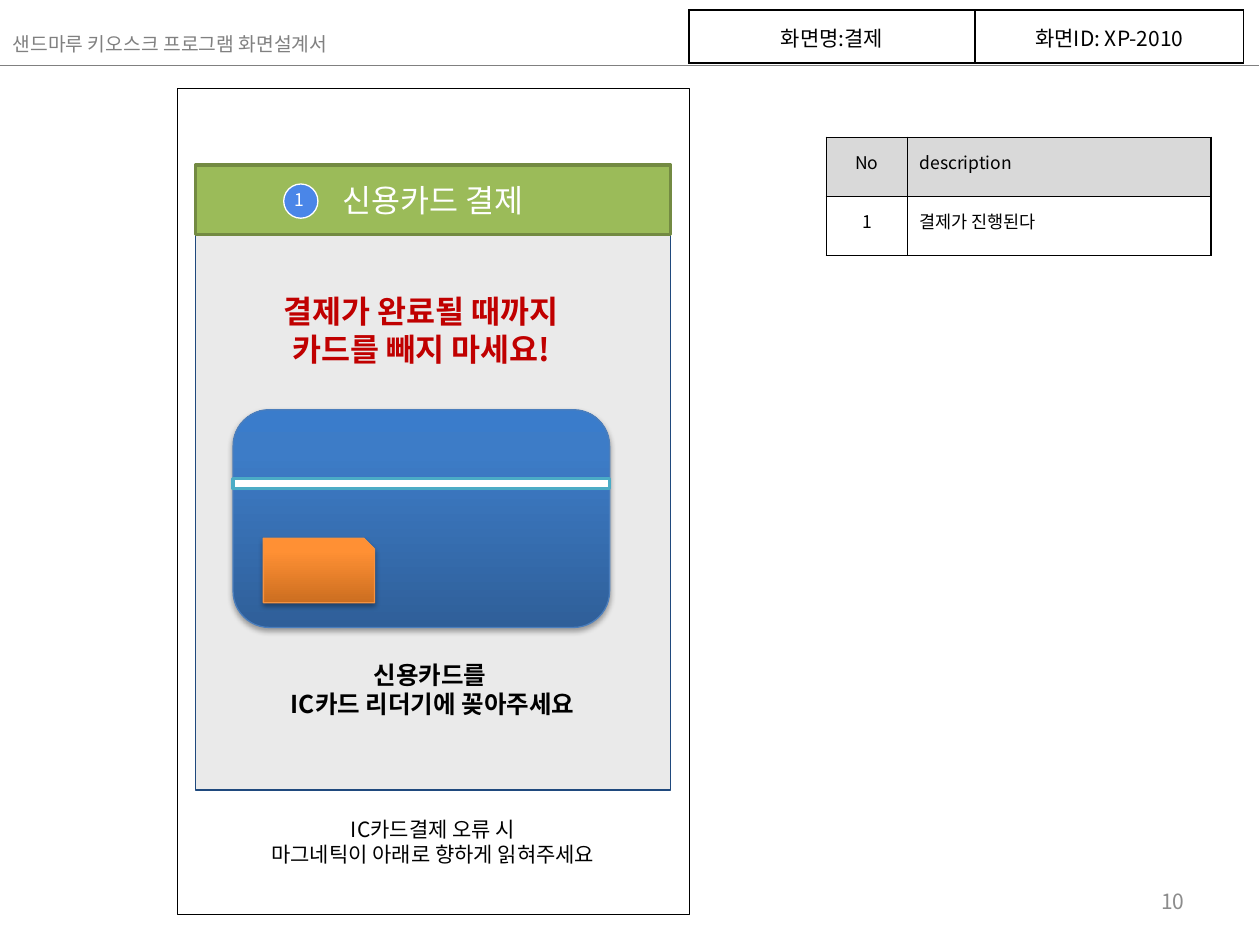
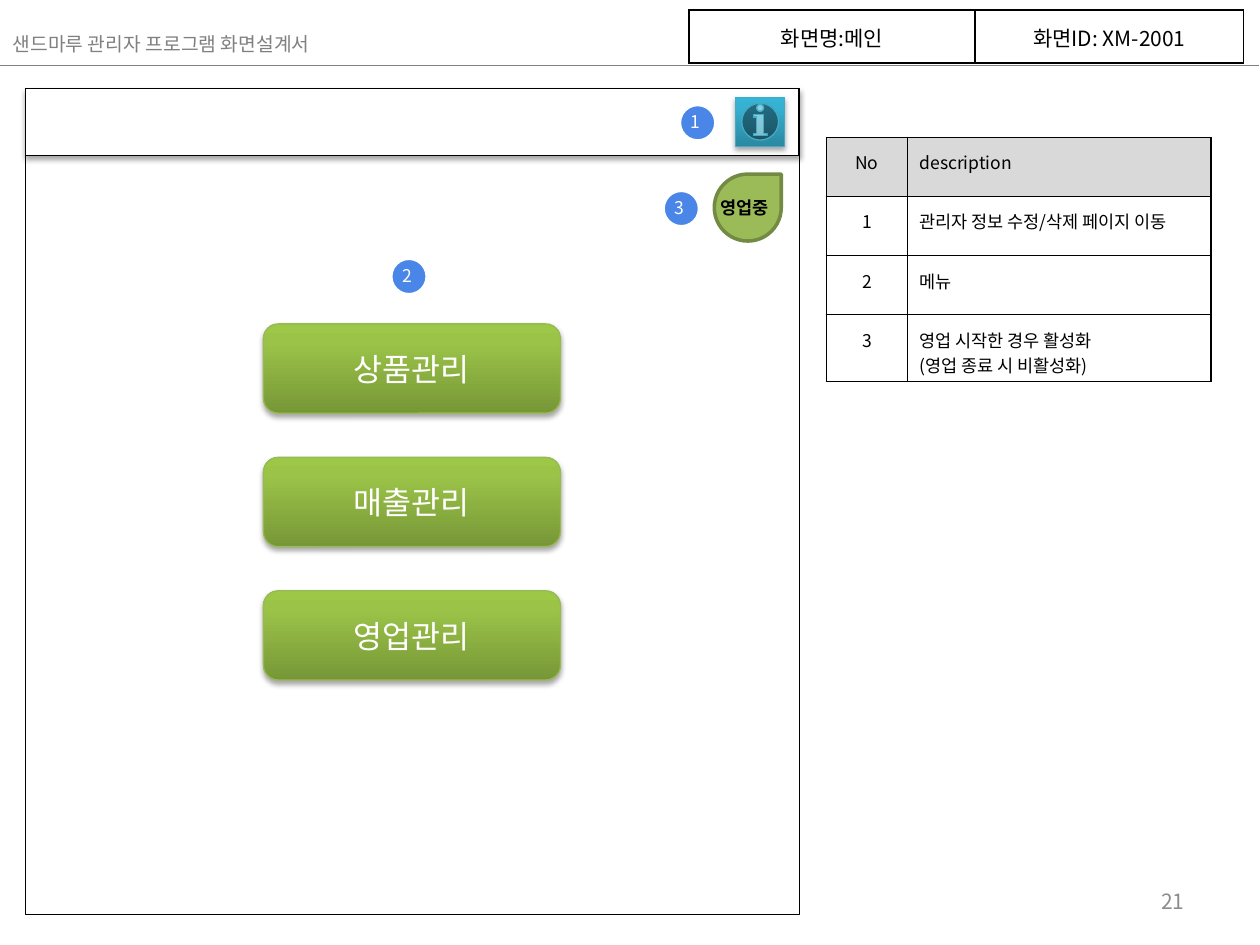
from copy import deepcopy
from lxml.etree import SubElement
from pptx import Presentation
from pptx.dml.color import RGBColor
from pptx.enum.shapes import MSO_CONNECTOR, MSO_SHAPE
from pptx.enum.text import MSO_ANCHOR, MSO_AUTO_SIZE, PP_ALIGN
from pptx.oxml import parse_xml
from pptx.oxml.ns import nsdecls, qn
from pptx.util import Cm, Pt

FONT = "Noto Sans CJK KR"
BLACK = RGBColor(0x00, 0x00, 0x00)
WHITE = RGBColor(0xFF, 0xFF, 0xFF)
GRAY = RGBColor(0x80, 0x80, 0x80)
PAGE = RGBColor(0x8C, 0x8C, 0x8C)
HEAD = RGBColor(0xD9, 0xD9, 0xD9)
PANEL = RGBColor(0xBF, 0xBF, 0xBF)
NAVY = RGBColor(0x1F, 0x49, 0x7D)
RED = RGBColor(0xC0, 0x00, 0x00)
BADGE = RGBColor(0x4A, 0x86, 0xE8)
GREEN = RGBColor(0x9B, 0xBB, 0x59)
OLIVE = RGBColor(0x73, 0x8A, 0x42)
LIME = RGBColor(0x98, 0xB9, 0x55)
TEAL = RGBColor(0x4B, 0xAC, 0xC6)
AQUA = RGBColor(0x46, 0xAA, 0xC5)
BLUE = RGBColor(0x4B, 0x7E, 0xBC)
AMBER = RGBColor(0xF6, 0x92, 0x40)
BLUES = (RGBColor(0x2F, 0x5F, 0x99), RGBColor(0x3D, 0x7C, 0xC7), RGBColor(0x3A, 0x7C, 0xCB))
AMBERS = (RGBColor(0xCC, 0x6E, 0x20), RGBColor(0xFF, 0x90, 0x34), RGBColor(0xFF, 0x91, 0x36))
LIMES = (RGBColor(0x77, 0x97, 0x37), RGBColor(0x9B, 0xC3, 0x48), RGBColor(0x9D, 0xC7, 0x46))
AQUAS = (RGBColor(0x2A, 0x88, 0xA2), RGBColor(0x37, 0xB1, 0xD2), RGBColor(0x34, 0xB4, 0xD6))


def write(frame, lines, size, color, bold=False, align=PP_ALIGN.LEFT):
    for n, line in enumerate(lines):
        para = frame.add_paragraph() if n else frame.paragraphs[0]
        para.alignment = align
        run = para.add_run()
        run.text = line
        font = run.font
        font.name, font.size, font.bold = FONT, Pt(size), bold
        font.color.rgb = color
        SubElement(run._r.get_or_add_rPr(), qn("a:ea"), typeface=FONT)


def box(into, kind, spot, fill, edge, width, soft=False):
    item = into.add_shape(kind, *map(Cm, spot))
    item.shadow.inherit = False
    if fill is None:
        item.fill.background()
    elif isinstance(fill, RGBColor):
        item.fill.solid()
        item.fill.fore_color.rgb = fill
    else:
        item.fill.gradient()
        item.fill.gradient_angle = 90
        first = item.fill.gradient_stops[0]._gs
        first.addnext(deepcopy(first))
        for stop, place, color in zip(item.fill.gradient_stops, (0, 0.8, 1), fill):
            stop.position = place
            stop.color.rgb = color
    item.line.color.rgb = edge
    item.line.width = Pt(width)
    if soft:
        item._element.spPr.find(qn("a:effectLst")).append(parse_xml(
            f'<a:outerShdw {nsdecls("a")} blurRad="39370" dist="22860" dir="5400000" rotWithShape="0">'
            '<a:srgbClr val="000000"><a:alpha val="35000"/></a:srgbClr></a:outerShdw>'))
    return item


deck = Presentation()
deck.slide_width, deck.slide_height = Cm(25.4), Cm(19.05)

screens = [
    ("샌드마루 키오스크 프로그램 화면설계서", "10", "화면명:결제", "화면ID: XP-2010",
     (3.58, 10.31), [["결제가 진행된다"]], [(5.72, 3.71)]),
    ("샌드마루 관리자 프로그램 화면설계서", "21", "화면명:메인", "화면ID: XM-2001",
     (0.51, 15.6),
     [["관리자 정보 수정/삭제 페이지 이동"], ["메뉴"],
      ["영업 시작한 경우 활성화", "(영업 종료 시 비활성화)"]],
     [(13.72, 2.13), (7.9, 5.23), (13.39, 3.86)]),
]

for title, page, name, code, (left, wide), notes, marks in screens:
    slide = deck.slides.add_slide(deck.slide_layouts[5])
    shapes = slide.shapes

    head = shapes.title
    head.left, head.top, head.width, head.height = map(Cm, (0, 0.53, 10.87, 0.74))
    head.text_frame.auto_size = MSO_AUTO_SIZE.NONE
    head.text_frame.vertical_anchor = MSO_ANCHOR.TOP
    write(head.text_frame, [title], 11, GRAY)

    foot = shapes.add_textbox(*map(Cm, (18.21, 17.65, 5.92, 1.02))).text_frame
    foot.word_wrap = True
    foot.vertical_anchor = MSO_ANCHOR.MIDDLE
    write(foot, [page], 12, PAGE, align=PP_ALIGN.RIGHT)

    rule = shapes.add_connector(MSO_CONNECTOR.STRAIGHT, 0, Cm(1.32), Cm(25.37), Cm(1.32))
    rule.line.color.rgb = GRAY
    rule.line.width = Pt(1)
    SubElement(rule._element.spPr, qn("a:effectLst"))

    rows = [[["No"], ["description"]]]
    rows += [[[str(n)], note] for n, note in enumerate(notes, 1)]
    grids = [
        ([[[name], [code]]], (13.89, 0.2), (5.77, 5.41), 1.07, 12),
        (rows, (16.66, 2.77), (1.63, 6.12), 1.19, 10),
    ]
    for cells, spot, cols, high, size in grids:
        area = (*spot, sum(cols), high * len(cells))
        table = shapes.add_table(len(cells), 2, *map(Cm, area)).table
        table.first_row = table.horz_banding = False
        for c, col in enumerate(cols):
            table.columns[c].width = Cm(col)
        for r, row in enumerate(cells):
            table.rows[r].height = Cm(high)
            for c, lines in enumerate(row):
                cell = table.cell(r, c)
                cell.margin_left = cell.margin_right = Cm(0.25)
                cell.margin_top = cell.margin_bottom = Cm(0.25)
                if size == 10 and r == 0:
                    cell.fill.solid()
                    cell.fill.fore_color.rgb = HEAD
                else:
                    cell.fill.background()
                mid = size == 12 or c == 0
                write(cell.text_frame, lines, size, BLACK,
                      align=PP_ALIGN.CENTER if mid else PP_ALIGN.LEFT)
                for n, side in enumerate("LRTB"):
                    cell._tc.get_or_add_tcPr().insert(n, parse_xml(
                        f'<a:ln{side} {nsdecls("a")} w="12700"><a:solidFill>'
                        f'<a:srgbClr val="{BLACK}"/></a:solidFill></a:ln{side}>'))

    box(shapes, MSO_SHAPE.RECTANGLE, (left, 1.78, wide, 16.66), None, BLACK, 0.25)

    if page == "10":
        panel = box(shapes, MSO_SHAPE.RECTANGLE, (3.94, 3.33, 9.58, 12.6), PANEL, NAVY, 0.75)
        tint = panel._element.spPr.find(qn("a:solidFill"))[0]
        SubElement(tint, qn("a:alpha"), val="32000")
        box(shapes, MSO_SHAPE.ROUNDED_RECTANGLE, (4.7, 8.26, 7.59, 4.39), BLUES, BLUE, 0.75, True)
        box(shapes, MSO_SHAPE.RECTANGLE, (4.7, 9.65, 7.59, 0.2), WHITE, TEAL, 2)
        box(shapes, MSO_SHAPE.SNIP_1_RECTANGLE, (5.31, 10.85, 2.24, 1.3), AMBERS, AMBER, 0.75, True)
        bar = box(shapes, MSO_SHAPE.RECTANGLE, (3.94, 3.33, 9.58, 1.4), GREEN, OLIVE, 2)
        write(bar.text_frame, ["신용카드 결제"], 18, WHITE, align=PP_ALIGN.CENTER)
        texts = [
            ((5.13, 5.77, 6.73, 1.8), ["결제가 완료될 때까지", "카드를 빼지 마세요!"], 18, RED, True),
            ((5.31, 13.18, 6.83, 1.45), ["신용카드를 ", "IC카드 리더기에 꽂아주세요"], 14, BLACK, True),
            ((4.83, 16.33, 7.8, 1.27),
             ["IC카드결제 오류 시", "마그네틱이 아래로 향하게 읽혀주세요"], 12, BLACK, False),
        ]
    else:
        box(shapes, MSO_SHAPE.RECTANGLE, (left, 1.78, wide, 1.35), WHITE, BLACK, 0.75, True)
        menu = shapes.add_group_shape().shapes
        for n, label in enumerate(["상품관리", "매출관리", "영업관리"]):
            key = box(menu, MSO_SHAPE.ROUNDED_RECTANGLE, (5.31, 6.53 + 2.69 * n, 5.99, 1.8),
                      LIMES, LIME, 0.75, True)
            write(key.text_frame, [label], 18, WHITE, align=PP_ALIGN.CENTER)
        box(shapes, MSO_SHAPE.ACTION_BUTTON_INFORMATION, (14.83, 1.96, 0.99, 0.99),
            AQUAS, AQUA, 0.75, True)
        box(shapes, MSO_SHAPE.TEAR, (14.4, 3.51, 1.35, 1.35), GREEN, OLIVE, 2)
        texts = [((14.27, 3.84, 1.57, 0.69), ["영업중"], 10, BLACK, True)]

    for spot, lines, size, color, bold in texts:
        frame = shapes.add_textbox(*map(Cm, spot)).text_frame
        frame.word_wrap = False
        write(frame, lines, size, color, bold,
              PP_ALIGN.CENTER if len(lines) > 1 else PP_ALIGN.LEFT)

    for n, (x, y) in enumerate(marks, 1):
        badge = shapes.add_group_shape().shapes
        box(badge, MSO_SHAPE.OVAL, (x, y, 0.69, 0.69), BADGE, WHITE, 0.75)
        frame = badge.add_textbox(*map(Cm, (x - 0.04, y - 0.11, 0.86, 0.86))).text_frame
        frame.word_wrap = True
        frame.margin_left = frame.margin_right = Cm(0.25)
        frame.margin_top = frame.margin_bottom = Cm(0.25)
        write(frame, [str(n)], 10, WHITE)

deck.save("out.pptx")
